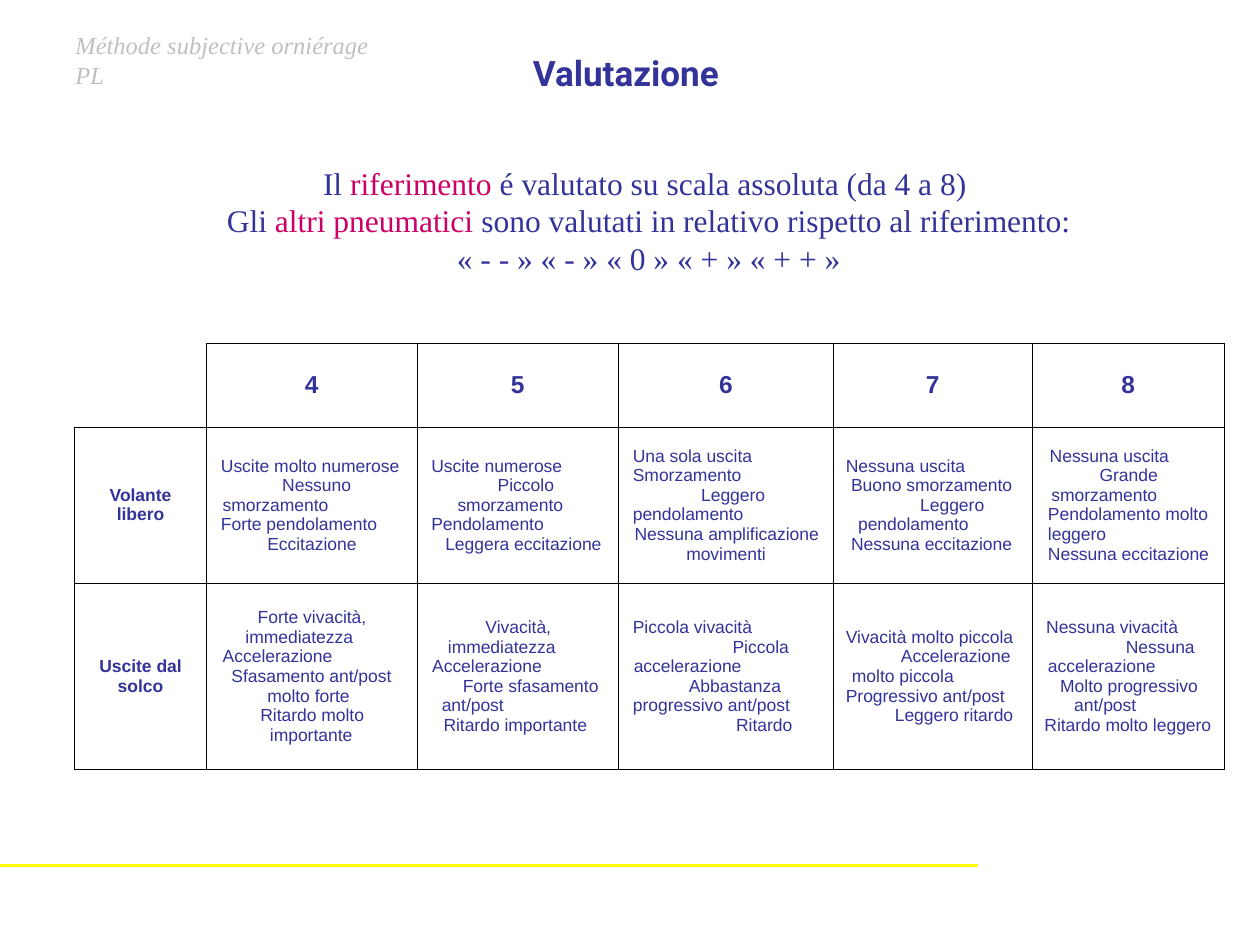
from lxml import etree
from pptx import Presentation
from pptx.dml.color import RGBColor
from pptx.enum import shapes, text
from pptx.oxml import ns
from pptx.util import Pt

NAVY = RGBColor(0x33, 0x33, 0x99)
MAGENTA = RGBColor(0xCC, 0x00, 0x66)
SILVER = RGBColor(0xC0, 0xC0, 0xC0)
YELLOW = RGBColor(0xFF, 0xFF, 0x00)

COLUMN_WIDTHS = [75.6, 120.2, 115.2, 122.7, 113.5, 110.2]
ROW_HEIGHTS = [47.6, 89.3, 106.6]
MARKS = ["4", "5", "6", "7", "8"]

# Each remark: first-line indent, indent after a line break, wording.
RATINGS = {
    "Volante libero": [
        [(1, 1, "Uscite molto numerose"), (36, 2, "Nessuno\vsmorzamento"),
         (1, 1, "Forte pendolamento"), (27.5, 0, "Eccitazione")],
        [(1, 1, "Uscite numerose"), (39, 16, "Piccolo\vsmorzamento"),
         (1, 1, "Pendolamento"), (9, 9, "Leggera eccitazione")],
        [(1, 1, "Una sola uscita"), (1, 1, "Smorzamento"),
         (40, 1, "Leggero\vpendolamento"),
         (2, 31.5, "Nessuna amplificazione\vmovimenti")],
        [(0, 0, "Nessuna uscita"), (3, 3, "Buono smorzamento"),
         (42.5, 7, "Leggero\vpendolamento"), (3, 3, "Nessuna eccitazione")],
        [(3, 3, "Nessuna uscita"), (31.5, 4, "Grande\vsmorzamento"),
         (2, 2, "Pendolamento molto\vleggero"), (2, 2, "Nessuna eccitazione")],
    ],
    "Uscite dal solco": [
        [(22, 15, "Forte vivacità,\vimmediatezza"), (2, 2, "Accelerazione"),
         (7, 27.5, "Sfasamento ant/post\vmolto forte"),
         (23.5, 29, "Ritardo molto\vimportante")],
        [(32, 10.5, "Vivacità,\vimmediatezza"), (1.5, 1.5, "Accelerazione"),
         (19, 7, "Forte sfasamento\vant/post"), (8, 8, "Ritardo importante")],
        [(1, 1, "Piccola vivacità"), (58, 1.5, "Piccola\vaccelerazione"),
         (33, 1, "Abbastanza\vprogressivo ant/post"), (60, 60, "Ritardo")],
        [(0, 0, "Vivacità molto piccola"), (31.5, 3.5, "Accelerazione\vmolto piccola"),
         (0, 0, "Progressivo ant/post"), (28, 28, "Leggero ritardo")],
        [(1, 1, "Nessuna vivacità"), (46.5, 2, "Nessuna\vaccelerazione"),
         (9, 17, "Molto progressivo\vant/post"), (0, 0, "Ritardo molto leggero")],
    ],
}

EXPLANATION = [
    [("Il ", NAVY), ("riferimento", MAGENTA),
     (" é valutato su scala assoluta (da 4 a 8) ", NAVY)],
    [("Gli ", NAVY), ("altri pneumatici", MAGENTA),
     (" sono valutati in relativo rispetto al riferimento:", NAVY)],
    [("« - - » « - » « 0 » « + » « + + »", NAVY)],
]


def style(font, name, size, color, bold=False, italic=False):
    font.name, font.size = name, Pt(size)
    font.bold, font.italic = bold, italic
    font.color.rgb = color


def add_text(s, box, lines, name, size, wrap=False, align=text.PP_ALIGN.LEFT, **look):
    """Place a text box whose lines are lists of (wording, colour)."""
    tf = s.shapes.add_textbox(*map(Pt, box)).text_frame
    tf.word_wrap = wrap
    tf.auto_size = text.MSO_AUTO_SIZE.SHAPE_TO_FIT_TEXT
    for i, line in enumerate(lines):
        p = tf.add_paragraph() if i else tf.paragraphs[0]
        p.alignment = align
        for wording, color in line:
            r = p.add_run()
            r.text = wording
            style(r.font, name, size, color, **look)


def add_rule(s, x1, x2, y):
    line = s.shapes.add_connector(shapes.MSO_CONNECTOR.STRAIGHT, Pt(x1), Pt(y), Pt(x2), Pt(y))
    line.line.color.rgb = YELLOW
    line.line.width = Pt(1.5)
    etree.SubElement(line._element.spPr, ns.qn("a:effectLst"))


def set_borders(cell, visible):
    """Draw thin black lines on the visible sides (L, R, T, B), none on the others."""
    props = cell._tc.get_or_add_tcPr()
    for i, side in enumerate("LRTB"):
        ln = etree.Element(ns.qn("a:ln" + side), w=str(Pt(0.45)))
        if side in visible:
            fill = etree.SubElement(ln, ns.qn("a:solidFill"))
            etree.SubElement(fill, ns.qn("a:srgbClr"), val="000000")
        else:
            etree.SubElement(ln, ns.qn("a:noFill"))
        props.insert(i, ln)


def fill_heading(cell, wording, size):
    cell.text_frame.text = wording
    p = cell.text_frame.paragraphs[0]
    p.alignment = text.PP_ALIGN.CENTER
    style(p.runs[0].font, "Arial", size, NAVY, bold=True)


def fill_remarks(cell, remarks):
    tf = cell.text_frame
    for i, (first, rest, wording) in enumerate(remarks):
        p = tf.add_paragraph() if i else tf.paragraphs[0]
        p.text = wording
        p.alignment = text.PP_ALIGN.LEFT
        props = p._p.get_or_add_pPr()
        props.set("marL", str(Pt(rest)))
        props.set("indent", str(Pt(first - rest)))
        for r in p.runs:
            style(r.font, "Arial", 10, NAVY)


def add_rating_table(s, left, top):
    table = s.shapes.add_table(
        len(ROW_HEIGHTS), len(COLUMN_WIDTHS), Pt(left), Pt(top),
        Pt(sum(COLUMN_WIDTHS)), Pt(sum(ROW_HEIGHTS))).table
    table.first_row = table.horz_banding = False
    for column, width in zip(table.columns, COLUMN_WIDTHS):
        column.width = Pt(width)
    for row, height in zip(table.rows, ROW_HEIGHTS):
        row.height = Pt(height)
    for cell in table.iter_cells():
        cell.fill.background()
        cell.vertical_anchor = text.MSO_ANCHOR.MIDDLE
        set_borders(cell, "RB" if cell is None else "LRTB")
    corner = table.cell(0, 0)
    for ln in list(corner._tc.tcPr)[:4]:
        corner._tc.tcPr.remove(ln)
    set_borders(corner, "RB")
    for c, mark in enumerate(MARKS, 1):
        fill_heading(table.cell(0, c), mark, 14)
    for r, (label, cells) in enumerate(RATINGS.items(), 1):
        fill_heading(table.cell(r, 0), label, 10)
        for c, remarks in enumerate(cells, 1):
            fill_remarks(table.cell(r, c), remarks)


def main():
    prs = Presentation()
    prs.slide_width, prs.slide_height = Pt(720), Pt(540)
    s = prs.slides.add_slide(prs.slide_layouts[6])
    add_text(s, (36, 13.7, 201.6, 24.5), [[("Méthode subjective orniérage PL", SILVER)]],
             "Times New Roman", 14, italic=True)
    add_rule(s, 0, 558.7, 494.6)
    add_text(s, (297.4, 25.9, 164.2, 31.7), [[("Valutazione", NAVY)]],
             "Roboto", 20, wrap=True, bold=True)
    add_text(s, (122.4, 90, 496.8, 72), EXPLANATION,
             "Times New Roman", 18, align=text.PP_ALIGN.CENTER)
    add_rating_table(s, 42.5, 196.4)
    prs.save("out.pptx")


if __name__ == "__main__":
    main()
